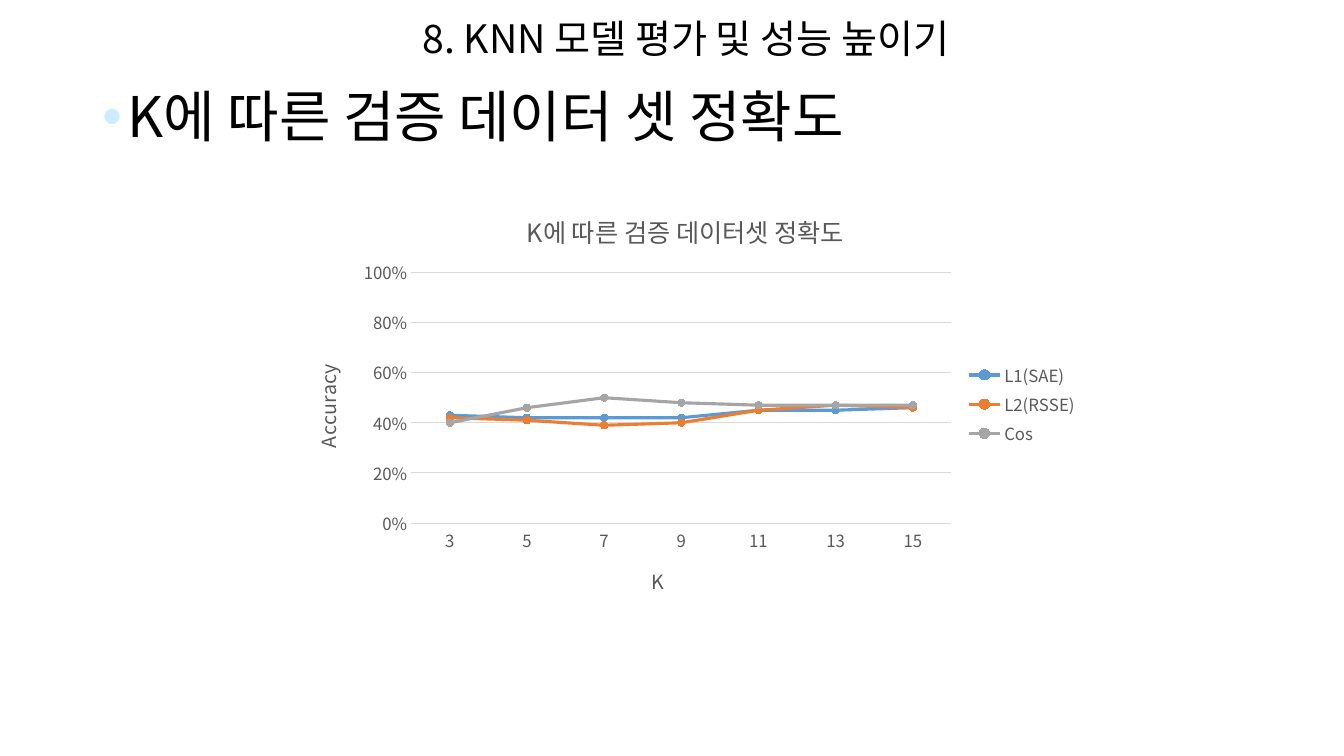
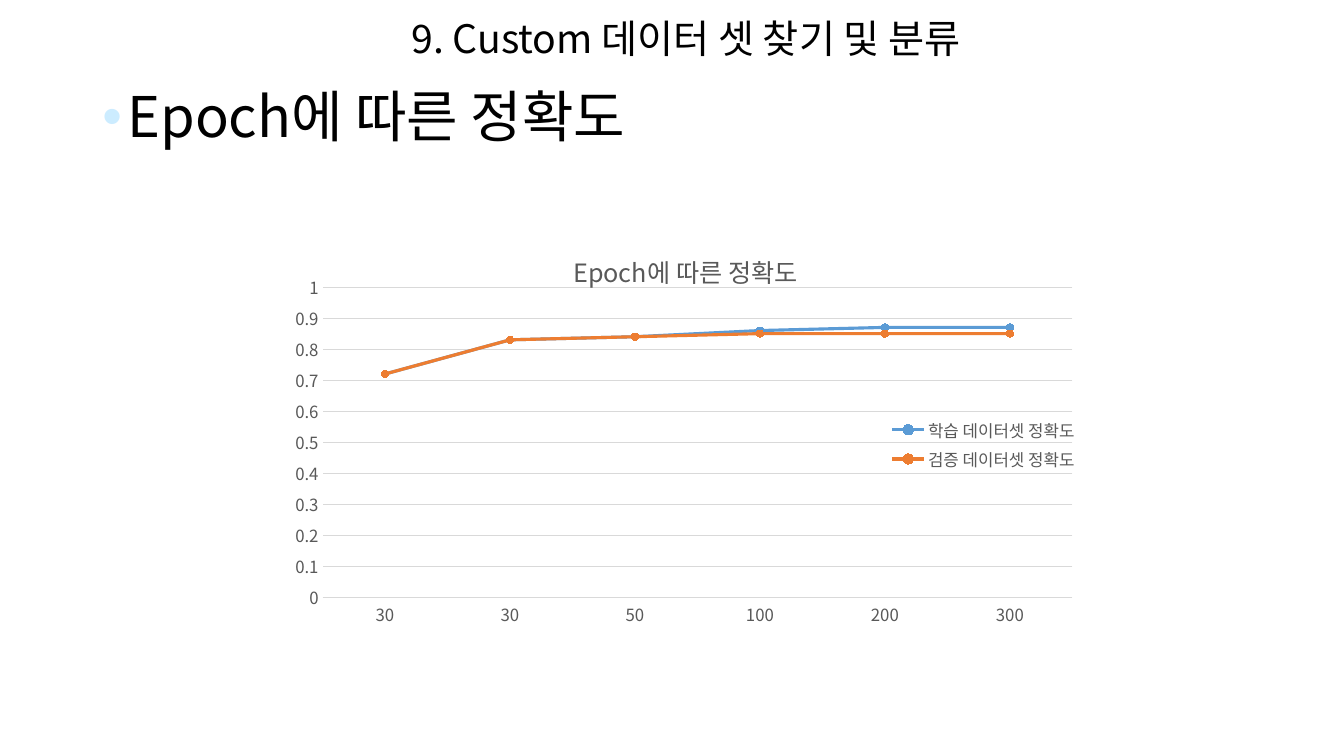
from lxml import etree
from pptx import Presentation
from pptx.chart.data import CategoryChartData
from pptx.dml.color import RGBColor
from pptx.enum import chart as ch, text
from pptx.oxml import parse_xml
from pptx.oxml.ns import nsdecls, qn
from pptx.util import Pt

FONT = "Noto Sans CJK KR"
COLORS = {"text": "000000", "label": "595959", "grid": "D9D9D9", "bullet": "CCECFF"}
SERIES_COLORS = ["5B9BD5", "ED7D31", "A5A5A5"]
TITLE_BOX = (232, 4, 516, 50)
BODY_BOX = (66, 60, 828, 426)
CHART_LEFT, CHART_WIDTH, CHART_HEIGHT = 201.6, 576, 303.8

SLIDES = [
    {
        "title": "8. KNN 모델 평가 및 성능 높이기",
        "body": "K에 따른 검증 데이터 셋 정확도",
        "chart_title": "K에 따른 검증 데이터셋 정확도",
        "chart_top": 136.8,
        "plot": (0.16, 0.19, 0.67, 0.59),
        "axis_titles": ("K", "Accuracy"),
        "format": "0%",
        "step": 0.2,
        "categories": ["3", "5", "7", "9", "11", "13", "15"],
        "series": [
            ("L1(SAE)", (0.43, 0.42, 0.42, 0.42, 0.45, 0.45, 0.46)),
            ("L2(RSSE)", (0.42, 0.41, 0.39, 0.4, 0.45, 0.47, 0.46)),
            ("Cos", (0.4, 0.46, 0.5, 0.48, 0.47, 0.47, 0.47)),
        ],
    },
    {
        "title": "9. Custom 데이터 셋 찾기 및 분류",
        "body": "Epoch에 따른 정확도",
        "chart_title": "Epoch에 따른 정확도",
        "chart_top": 165.6,
        "plot": (0.05, 0.13, 0.93, 0.73),
        "axis_titles": None,
        "format": "General",
        "step": 0.1,
        "categories": ["30", "30", "50", "100", "200", "300"],
        "series": [
            ("학습 데이터셋 정확도", (0.72, 0.83, 0.84, 0.86, 0.87, 0.87)),
            ("검증 데이터셋 정확도", (0.72, 0.83, 0.84, 0.85, 0.85, 0.85)),
        ],
    },
]


def rgb(name):
    return RGBColor.from_string(COLORS[name])


def style_font(font, size, color="label"):
    font.name, font.size, font.bold = FONT, Pt(size), False
    font.color.rgb = rgb(color)


def set_east_asian(element):
    for latin in list(element.iter(qn("a:latin"))):
        ea = etree.Element(qn("a:ea"))
        ea.set("typeface", FONT)
        latin.addnext(ea)


def add_text(s, box, content, size):
    sp = s.shapes.add_textbox(*map(Pt, box))
    tf = sp.text_frame
    tf.word_wrap = True
    p = tf.paragraphs[0]
    r = p.add_run()
    r.text = content
    p.line_spacing = 0.9
    style_font(r.font, size, "text")
    set_east_asian(sp.element)
    return tf


def add_bullet(p):
    pPr = p._p.get_or_add_pPr()
    pPr.set("marL", str(Pt(18)))
    pPr.set("indent", str(-Pt(18)))
    color = etree.SubElement(pPr, qn("a:buClr"))
    etree.SubElement(color, qn("a:srgbClr")).set("val", COLORS["bullet"])
    etree.SubElement(pPr, qn("a:buFont")).set("typeface", "Arial")
    etree.SubElement(pPr, qn("a:buChar")).set("char", "•")


def set_title(owner, content, size):
    tf = (owner.chart_title if hasattr(owner, "chart_title") else owner.axis_title).text_frame
    tf.text = content
    style_font(tf.paragraphs[0].runs[0].font, size)


def set_plot_area(chart, box):
    plot_area = chart.element.find(".//" + qn("c:plotArea"))
    for old in plot_area.findall(qn("c:layout")):
        plot_area.remove(old)
    sizes = "".join(f'<c:{k} val="{v}"/>' for k, v in zip("xywh", box))
    plot_area.insert(0, parse_xml(
        f'<c:layout {nsdecls("c")}><c:manualLayout><c:layoutTarget val="inner"/>'
        f'<c:xMode val="edge"/><c:yMode val="edge"/>{sizes}</c:manualLayout></c:layout>'))


def style_axes(chart, spec):
    category, value = chart.category_axis, chart.value_axis
    for axis in (category, value):
        style_font(axis.tick_labels.font, 12)
        axis.major_tick_mark = ch.XL_TICK_MARK.NONE
    value.minimum_scale, value.maximum_scale = 0, 1
    value.major_unit = spec["step"]
    value.tick_labels.number_format = spec["format"]
    value.tick_labels.number_format_is_linked = False
    value.format.line.fill.background()
    for line in (category.format.line, value.major_gridlines.format.line):
        line.color.rgb = rgb("grid")
        line.width = Pt(0.75)
    if spec["axis_titles"]:
        for axis, content in zip((category, value), spec["axis_titles"]):
            set_title(axis, content, 14)


def style_series(chart):
    chart.plots[0].vary_by_categories = False
    for series, color in zip(chart.plots[0].series, SERIES_COLORS):
        color = RGBColor.from_string(color)
        series.smooth = False
        series.format.line.color.rgb = color
        series.format.line.width = Pt(2.25)
        marker = series.marker
        marker.style, marker.size = ch.XL_MARKER_STYLE.CIRCLE, 5
        marker.format.fill.solid()
        marker.format.fill.fore_color.rgb = color
        marker.format.line.color.rgb = color


def add_line_chart(s, spec):
    data = CategoryChartData()
    data.categories = spec["categories"]
    for name, values in spec["series"]:
        data.add_series(name, values)
    box = (CHART_LEFT, spec["chart_top"], CHART_WIDTH, CHART_HEIGHT)
    chart = s.shapes.add_chart(ch.XL_CHART_TYPE.LINE_MARKERS, *map(Pt, box), data).chart
    style_font(chart.font, 10, "text")
    set_title(chart, spec["chart_title"], 18)
    chart.has_legend = True
    chart.legend.position = ch.XL_LEGEND_POSITION.RIGHT
    chart.legend.include_in_layout = False
    style_font(chart.legend.font, 12)
    style_axes(chart, spec)
    style_series(chart)
    set_plot_area(chart, spec["plot"])
    set_east_asian(chart.element)


def main():
    prs = Presentation()
    prs.slide_width, prs.slide_height = Pt(960), Pt(540)
    for spec in SLIDES:
        s = prs.slides.add_slide(prs.slide_layouts[6])
        tf = add_text(s, TITLE_BOX, spec["title"], 28)
        tf.vertical_anchor = text.MSO_ANCHOR.MIDDLE
        tf.paragraphs[0].alignment = text.PP_ALIGN.CENTER
        p = add_text(s, BODY_BOX, spec["body"], 40).paragraphs[0]
        p.space_before = Pt(10)
        add_bullet(p)
        add_line_chart(s, spec)
    prs.save("out.pptx")


if __name__ == "__main__":
    main()
